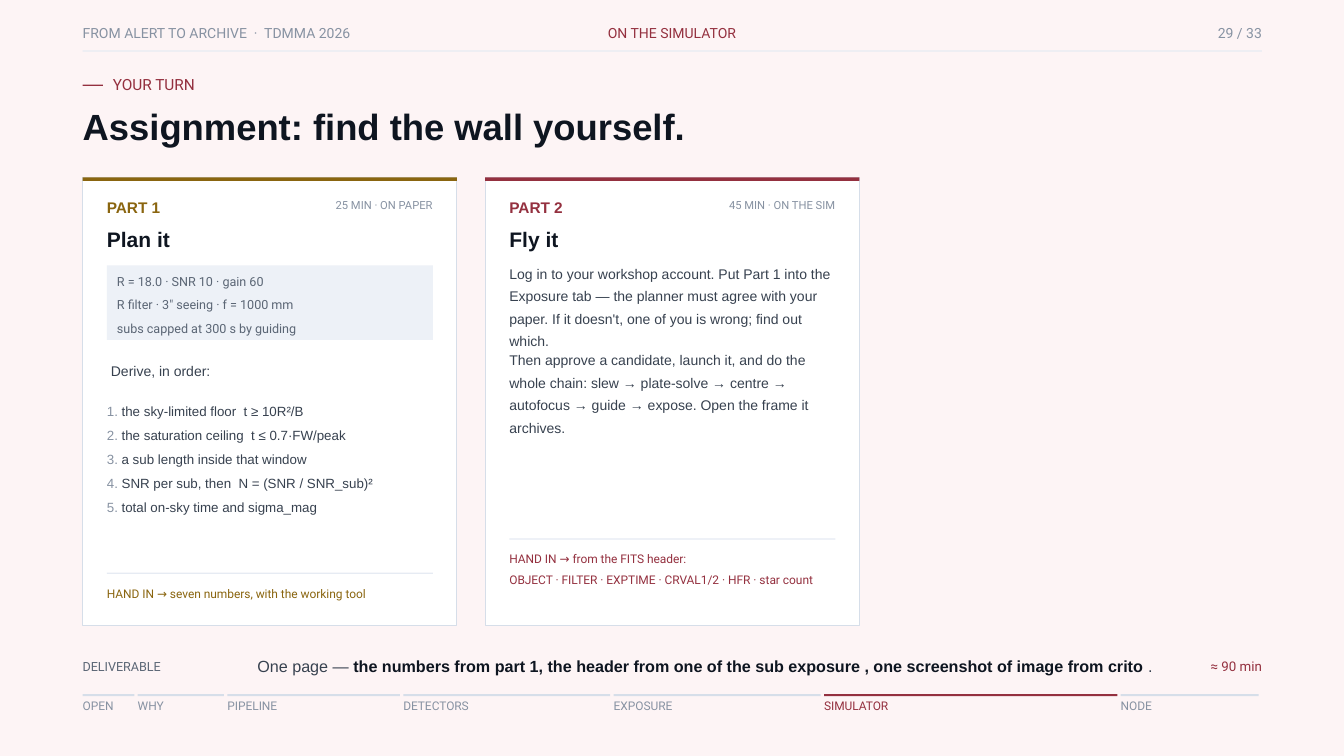
from lxml.etree import SubElement
from pptx import Presentation
from pptx.dml.color import RGBColor
from pptx.enum.shapes import MSO_SHAPE
from pptx.enum.text import MSO_ANCHOR, MSO_AUTO_SIZE, PP_ALIGN
from pptx.oxml.ns import qn
from pptx.util import Inches, Pt

INK, TEXT, SLATE, GREY = "0E1520", "37414F", "5B6675", "8792A2"
RED, GOLD, EDGE, RULE = "94303F", "8A650F", "D6DEE9", "E6EBF3"
LEFT, WIDTH = 1.23, 17.55
CARD_TOP, CARD_WIDTH, CARD_HEIGHT, PADDING = 2.64, 5.57, 6.67, 0.36
INNER = CARD_WIDTH - 2 * PADDING


def rgb(value):
    return RGBColor.from_string(value)


def write(frame, text, font="Roboto", size=15, color=GREY, bold=False,
          align=PP_ALIGN.LEFT, line=None, gap=0, number_color=None):
    frame.word_wrap = True
    frame.auto_size = MSO_AUTO_SIZE.NONE
    frame.vertical_anchor = MSO_ANCHOR.TOP
    frame.margin_left = frame.margin_right = 0
    frame.margin_top = frame.margin_bottom = 0
    for index, content in enumerate(text.split("\n")):
        paragraph = frame.add_paragraph() if index else frame.paragraphs[0]
        if number_color:
            number(paragraph, number_color)
        paragraph.alignment = align
        paragraph.line_spacing = Pt(line or round(size * 1.2, 1))
        paragraph.space_before = Pt(gap if index else 0)
        for part, piece in enumerate(content.split("**")):
            run = paragraph.add_run()
            run.text = piece
            strong = part % 2 == 1
            run.font.name = font
            run.font.size = Pt(size)
            run.font.bold = bold or strong
            run.font.color.rgb = rgb(INK if strong else color)


def number(paragraph, color):
    properties = paragraph._p.get_or_add_pPr()
    properties.set("marL", str(Inches(0.22)))
    properties.set("indent", str(-Inches(0.22)))
    tint = SubElement(properties, qn("a:buClr"))
    SubElement(tint, qn("a:srgbClr"), val=color)
    SubElement(properties, qn("a:buFont"), typeface="Arial")
    SubElement(properties, qn("a:buAutoNum"), type="arabicPeriod")


class Deck:
    def __init__(self, slide):
        self.slide = slide

    def text(self, x, y, width, height, text, **style):
        box = self.slide.shapes.add_textbox(
            Inches(x), Inches(y), Inches(width), Inches(height))
        write(box.text_frame, text, **style)

    def fill_placeholder(self, index, x, y, width, height, text, **style):
        holder = self.slide.placeholders[index]
        holder.left, holder.top = Inches(x), Inches(y)
        holder.width, holder.height = Inches(width), Inches(height)
        write(holder.text_frame, text, **style)
        holder.element.getparent().append(holder.element)

    def block(self, x, y, width, height, color, edge=None):
        shape = self.slide.shapes.add_shape(
            MSO_SHAPE.RECTANGLE, Inches(x), Inches(y), Inches(width), Inches(height))
        shape.shadow.inherit = False
        shape.fill.solid()
        shape.fill.fore_color.rgb = rgb(color)
        if edge:
            shape.line.color.rgb = rgb(edge)
            shape.line.width = Pt(1.13)
        else:
            shape.line.fill.background()

    def card(self, x, accent, part, duration, heading, rule_y, hand_in):
        inner_x = x + PADDING
        half = INNER / 2
        self.block(x, CARD_TOP, CARD_WIDTH, CARD_HEIGHT, "FFFFFF", EDGE)
        self.block(x, CARD_TOP, CARD_WIDTH, 0.05, accent)
        self.text(inner_x, 2.95, half, 0.35, part,
                  font="Arial", size=16.5, color=accent, bold=True)
        self.text(inner_x + half, 2.95, half, 0.35, duration,
                  size=12, align=PP_ALIGN.RIGHT)
        self.text(inner_x, 3.37, INNER, 0.44, heading,
                  font="Arial", size=22.5, color=INK, bold=True)
        self.block(inner_x, rule_y, INNER, 0.02, RULE)
        self.text(inner_x, rule_y + 0.11, INNER, 0.3 * (1 + hand_in.count("\n")),
                  hand_in, size=12.75, color=accent, line=22.2)
        return inner_x

    def progress(self, chapters, current, gap=0.05):
        unit = (17.5 - gap * (len(chapters) - 1)) / sum(chapters.values())
        x = LEFT
        for chapter, weight in chapters.items():
            width = weight * unit
            active = chapter == current
            self.block(x, 10.33, width, 0.03, RED if active else EDGE)
            self.text(x, 10.4, width, 0.32, chapter,
                      size=12.75, color=RED if active else GREY)
            x += width + gap


def main():
    presentation = Presentation()
    presentation.slide_width, presentation.slide_height = Inches(20), Inches(11.25)
    slide = presentation.slides.add_slide(presentation.slide_layouts[1])
    slide.background.fill.solid()
    slide.background.fill.fore_color.rgb = rgb("FDF4F5")
    deck = Deck(slide)

    deck.text(LEFT, 0.37, 6.3, 0.38, "FROM ALERT TO ARCHIVE  ·  TDMMA 2026")
    deck.text(7.53, 0.37, 4.94, 0.38, "ON THE SIMULATOR",
              color=RED, align=PP_ALIGN.CENTER)
    deck.text(15.78, 0.37, 3, 0.38, "29 / 33", align=PP_ALIGN.RIGHT)
    deck.block(LEFT, 0.75, WIDTH, 0.02, RULE)

    deck.block(LEFT, 1.26, 0.3, 0.02, RED)
    deck.text(1.68, 1.12, 9, 0.4, "YOUR TURN", size=16.5, color=RED)
    deck.fill_placeholder(0, LEFT, 1.55, 14.4, 1, "Assignment: find the wall yourself.",
                          font="Arial", size=39, color=INK, bold=True)

    plan_x = deck.card(LEFT, GOLD, "PART 1", "25 MIN · ON PAPER", "Plan it", 8.52,
                       "HAND IN → seven numbers, with the working tool")
    deck.block(plan_x, 3.95, INNER, 1.11, "EDF1F7")
    deck.text(plan_x + 0.15, 3.95, INNER - 0.3, 1.05,
              "R = 18.0 · SNR 10 · gain 60\n"
              "R filter · 3″ seeing · f = 1000 mm\n"
              "subs capped at 300 s by guiding",
              size=13.5, color=SLATE, line=25.1)
    prose = {"font": "Arial", "color": TEXT, "line": 24.1}
    deck.text(plan_x + 0.06, 5.31, INNER - 0.06, 0.33, "Derive, in order:", **prose)
    deck.fill_placeholder(1, plan_x, 5.91, INNER, 1.8,
                          "the sky-limited floor  t ≥ 10R²/B\n"
                          "the saturation ceiling  t ≤ 0.7·FW/peak\n"
                          "a sub length inside that window\n"
                          "SNR per sub, then  N = (SNR / SNR_sub)²\n"
                          "total on-sky time and sigma_mag",
                          font="Arial", size=14.25, color=TEXT, line=23.1,
                          gap=2.6, number_color=GREY)

    fly_x = deck.card(7.22, RED, "PART 2", "45 MIN · ON THE SIM", "Fly it", 8.01,
                      "HAND IN → from the FITS header:\n"
                      "OBJECT · FILTER · EXPTIME · CRVAL1/2 · HFR · star count")
    deck.text(fly_x, 3.86, INNER, 1.2,
              "Log in to your workshop account. Put Part 1 into the Exposure tab — "
              "the planner must agree with your paper. If it doesn't, one of you is "
              "wrong; find out which.", **prose)
    deck.text(fly_x, 5.15, INNER, 1.33,
              "Then approve a candidate, launch it, and do the whole chain: slew → "
              "plate-solve → centre → autofocus → guide → expose. Open the frame it "
              "archives.", **prose)

    deck.text(LEFT, 9.8, 2.4, 0.38, "DELIVERABLE", size=13.5, color=SLATE)
    deck.text(3.83, 9.77, 13.45, 0.3,
              "One page — **the numbers from part 1, the header from one of the sub "
              "exposure , one screenshot of image from crito **.",
              font="Arial", size=17.25, color=TEXT)
    deck.text(16.51, 9.8, 2.27, 0.38, "≈ 90 min",
              size=14.25, color=RED, align=PP_ALIGN.RIGHT)
    deck.progress({"OPEN": 3, "WHY": 5, "PIPELINE": 10, "DETECTORS": 12,
                   "EXPOSURE": 12, "SIMULATOR": 17, "NODE": 8}, "SIMULATOR")

    presentation.save("out.pptx")


if __name__ == "__main__":
    main()
